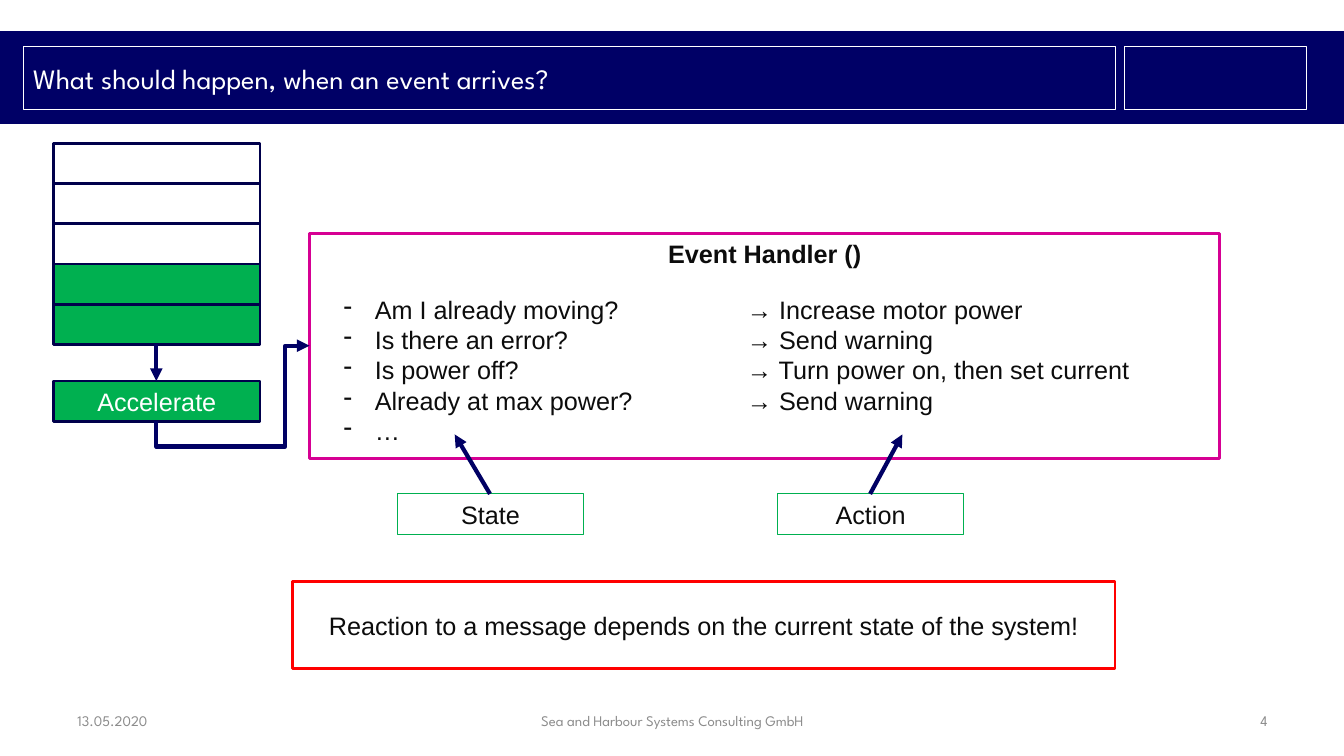
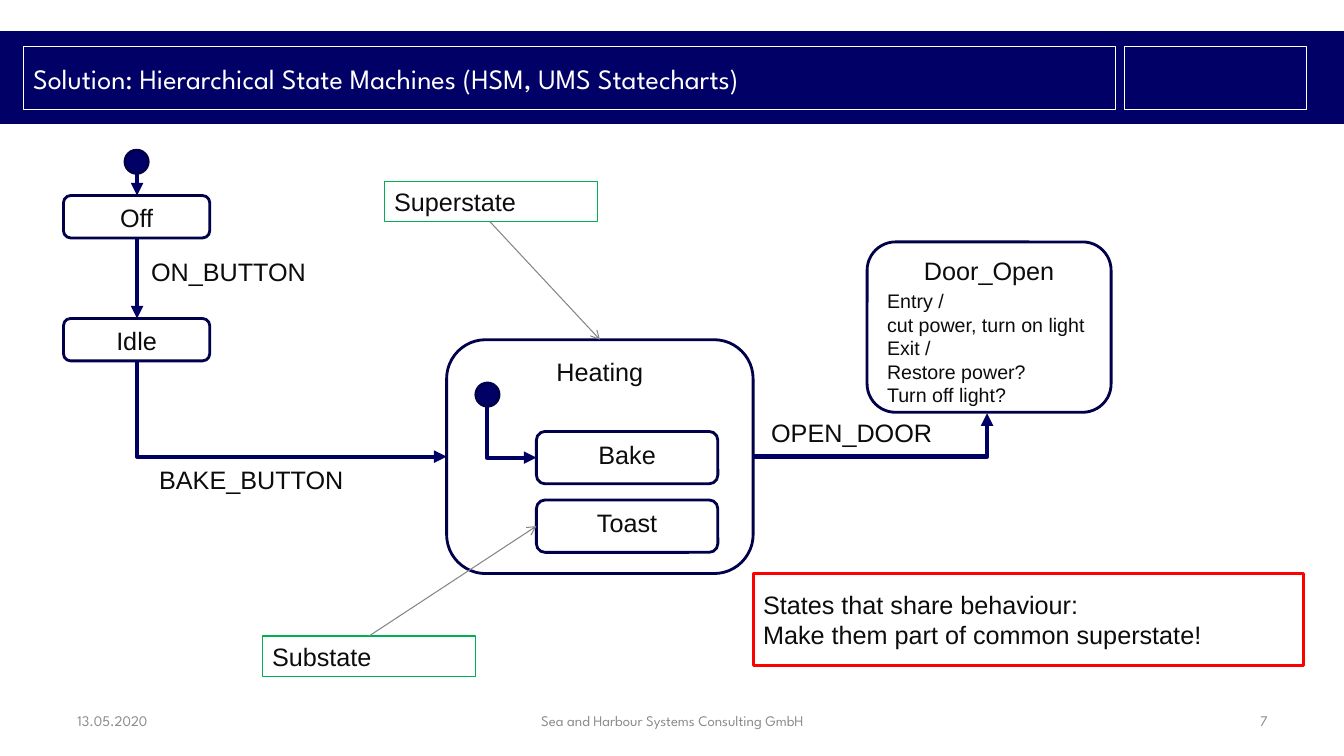
from pptx import Presentation
from pptx.dml.color import RGBColor
from pptx.enum.shapes import MSO_CONNECTOR, MSO_SHAPE
from pptx.enum.text import MSO_ANCHOR, PP_ALIGN
from pptx.oxml.ns import qn
from pptx.util import Inches, Pt
from lxml.etree import SubElement

# Shared look
NAVY, EDGE, WIRE = "000066", "00004B", "000064"
GREEN, RED, PINK = "00B050", "FF0000", "D60093"
WHITE, INK, GREY, MUTED = "FFFFFF", "0C0C0C", "858585", "8C8C8C"
BODY, HEAD = "Arial", "League Spartan"
RECT, ROUND, OVAL = MSO_SHAPE.RECTANGLE, MSO_SHAPE.ROUNDED_RECTANGLE, MSO_SHAPE.OVAL
ALIGN = {"l": PP_ALIGN.LEFT, "c": PP_ALIGN.CENTER, "r": PP_ALIGN.RIGHT}
DATE, FIRM = "13.05.2020", "Sea and Harbour Systems Consulting GmbH"


def rgb(color):
    return RGBColor.from_string(color)


# Text
def write(shape, text, size=18, font=BODY, color=INK, bold=False,
          align="l", middle=False, bullet=None):
    frame = shape.text_frame
    frame.word_wrap = True
    frame.vertical_anchor = MSO_ANCHOR.MIDDLE if middle else MSO_ANCHOR.TOP
    for i, line in enumerate(text.split("\n")):
        para = frame.paragraphs[0] if i == 0 else frame.add_paragraph()
        para.alignment = ALIGN[align]
        if bullet:
            props = para._p.get_or_add_pPr()
            props.set("marL", str(Inches(0.31)))
            props.set("indent", str(Inches(-0.31)))
            props.set("defTabSz", str(Inches(1)))
            SubElement(props, qn("a:buFontTx"))
            SubElement(props, qn("a:buChar"), char=bullet)
        run = para.add_run()
        run.text = line
        run.font.size, run.font.name, run.font.bold = Pt(size), font, bold
        run.font.color.rgb = rgb(color)


def label(slide, at, text, **form):
    write(slide.shapes.add_textbox(*map(Inches, at)), text, **form)


# Shapes
def box(slide, at, text="", kind=RECT, fill=None, line=EDGE, width=2, **form):
    shape = slide.shapes.add_shape(kind, *map(Inches, at))
    shape.shadow.inherit = False
    if fill:
        shape.fill.solid()
        shape.fill.fore_color.rgb = rgb(fill)
    else:
        shape.fill.background()
    if line:
        shape.line.color.rgb = rgb(line)
        shape.line.width = Pt(width)
    else:
        shape.line.fill.background()
    if text:
        write(shape, text, **form)


def state(slide, at, name):
    box(slide, at, name, ROUND, align="c")


def start(slide, x, y):
    box(slide, (x, y, 0.23, 0.23), kind=OVAL, fill=NAVY)


def tag(slide, at, text, align="l"):
    box(slide, at, text, fill=WHITE, line=GREEN, width=0.75, align=align)


# Arrows
def point(shape, color, width, tip):
    shape.line.color.rgb = rgb(color)
    shape.line.width = Pt(width)
    SubElement(shape.line._get_or_add_ln(), qn("a:tailEnd"), type=tip)


def arrow(slide, tail, head, color=WIRE, width=3, tip="triangle"):
    wire = slide.shapes.add_connector(
        MSO_CONNECTOR.STRAIGHT, *map(Inches, tail + head))
    point(wire, color, width, tip)
    SubElement(wire._element.spPr, qn("a:effectLst"))


def route(slide, *stops):
    first, *rest = [(Inches(x), Inches(y)) for x, y in stops]
    path = slide.shapes.build_freeform(*first)
    path.add_line_segments(rest, close=False)
    wire = path.convert_to_shape()
    wire.shadow.inherit = False
    wire.fill.background()
    point(wire, WIRE, 3, "triangle")


# Title band and footer
def page(deck, title, number):
    slide = deck.slides.add_slide(deck.slide_layouts[6])
    box(slide, (0, 0.31, 13.33, 0.92), fill=NAVY, line=None)
    box(slide, (11.15, 0.46, 1.81, 0.63), fill=NAVY, line=WHITE, width=0.75)
    box(slide, (0.23, 0.46, 10.83, 0.63), title, line=WHITE, width=0.75,
        size=20, font=HEAD, color=WHITE, middle=True)
    for x, wide, text, align in ((0.67, 3.11, DATE, "l"),
                                 (3.94, 5.46, FIRM, "c"),
                                 (9.56, 3.11, str(number), "r")):
        label(slide, (x, 6.95, wide, 0.4), text, size=10.5, font=HEAD,
              color=MUTED, align=align, middle=True)
    return slide


def event(deck):
    slide = page(deck, "What should happen, when an event arrives?", 4)

    # Message queue: the last two slots are taken
    for i in range(5):
        box(slide, (0.53, 1.42 + 0.4 * i, 2.05, 0.4),
            fill=GREEN if i > 2 else None)
    box(slide, (0.53, 3.78, 2.05, 0.4), "Accelerate", fill=GREEN,
        color=WHITE, align="c", middle=True)
    arrow(slide, (1.55, 3.41), (1.55, 3.78))

    # Handler
    box(slide, (3.07, 2.32, 9.03, 2.23), "Event Handler ()", line=PINK,
        width=2.25, bold=True, align="c")
    route(slide, (1.55, 4.18), (1.55, 4.43), (2.83, 4.43),
          (2.83, 3.43), (3.07, 3.43))
    label(slide, (3.31, 2.87, 8.57, 1.62),
          "Am I already moving? \t\t→ Increase motor power\n"
          "Is there an error? \t\t→ Send warning\n"
          "Is power off? \t\t\t→ Turn power on, then set current\n"
          "Already at max power? \t\t→ Send warning\n"
          "…", bullet="-")

    # Callouts
    for x, text, tip in ((3.94, "State", 4.51), (7.71, "Action", 8.95)):
        tag(slide, (x, 4.9, 1.85, 0.4), text, "c")
        arrow(slide, (x + 0.92, 4.9), (tip, 4.31))
    box(slide, (2.9, 5.77, 8.16, 0.86),
        "Reaction to a message depends on the current state of the system!",
        line=RED, align="c", middle=True)


def chart(deck):
    slide = page(
        deck, "Solution: Hierarchical State Machines (HSM, UMS Statecharts)", 7)

    # States
    for at, name in (((0.63, 1.94, 1.45, 0.42), "Off"),
                     ((0.63, 3.16, 1.45, 0.42), "Idle"),
                     ((4.43, 3.37, 3.04, 2.32), "Heating"),
                     ((5.32, 4.28, 1.8, 0.52), "Bake"),
                     ((5.32, 4.96, 1.8, 0.52), "Toast"),
                     ((8.6, 2.4, 2.42, 1.69), "Door_Open")):
        state(slide, at, name)
    label(slide, (8.7, 2.82, 2.17, 1.28),
          "Entry /\ncut power, turn on light\nExit /\n"
          "Restore power?\nTurn off light?", size=14)
    start(slide, 1.24, 1.49)
    start(slide, 4.72, 3.8)

    # Transitions
    arrow(slide, (1.36, 1.73), (1.36, 1.94))
    arrow(slide, (1.36, 2.36), (1.36, 3.16))
    route(slide, (1.36, 3.58), (1.36, 4.53), (4.43, 4.53))
    route(slide, (4.83, 4.04), (4.83, 4.54), (5.32, 4.54))
    route(slide, (7.47, 4.53), (9.79, 4.53), (9.79, 4.1))
    for x, y, text in ((1.4, 2.49, "ON_BUTTON"),
                       (1.48, 4.56, "BAKE_BUTTON"),
                       (7.55, 4.09, "OPEN_DOOR")):
        label(slide, (x, y, 2.31, 0.4), text)

    # Callouts
    for x, y, text, tail, head in (
            (3.81, 1.8, "Superstate", (4.86, 2.2), (5.95, 3.37)),
            (2.6, 6.31, "Substate", (3.66, 6.31), (5.32, 5.22))):
        tag(slide, (x, y, 2.12, 0.4), text)
        arrow(slide, tail, head, GREY, 0.75, "arrow")
    box(slide, (7.47, 5.69, 5.46, 0.91),
        "States that share behaviour:\nMake them part of common superstate!",
        line=RED, middle=True)


def main():
    deck = Presentation()
    deck.slide_width, deck.slide_height = Inches(13.33), Inches(7.5)
    event(deck)
    chart(deck)
    deck.save("out.pptx")


if __name__ == "__main__":
    main()
